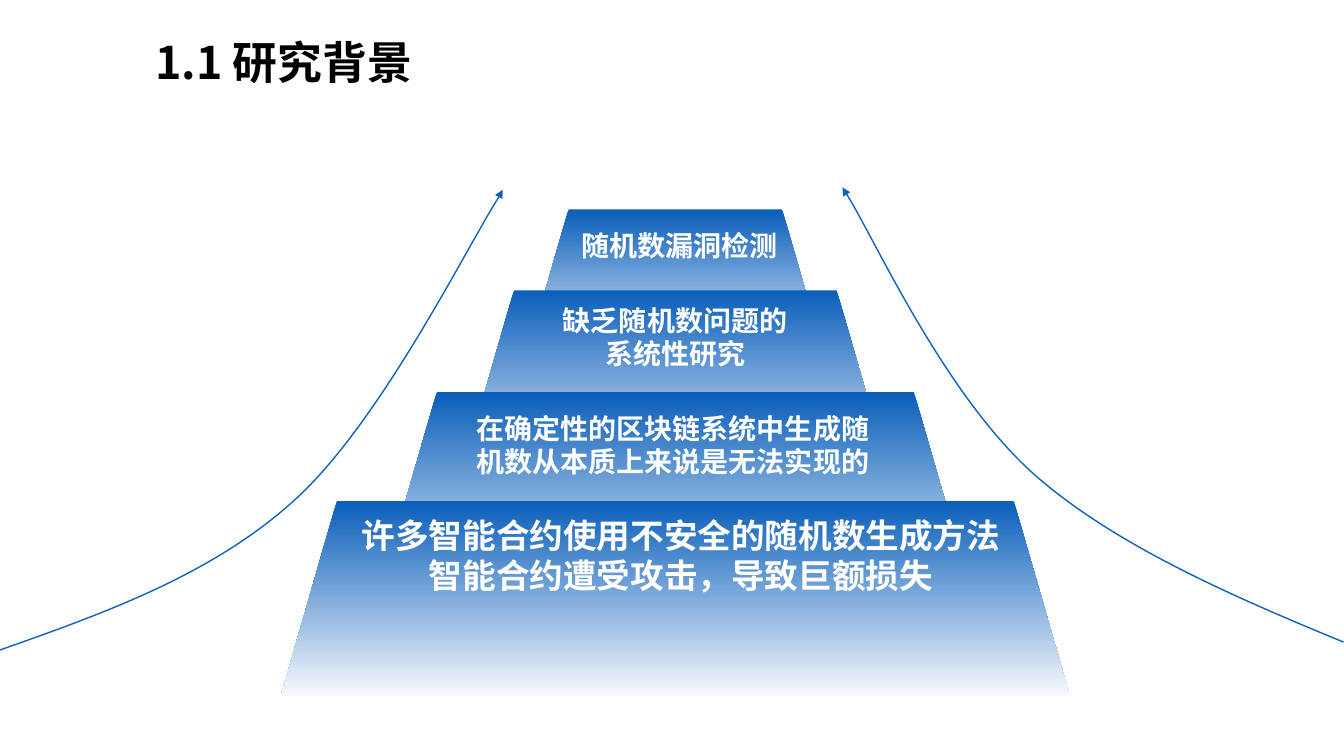
from typing import NamedTuple

from lxml import etree
from pptx import Presentation
from pptx import util as u
from pptx.dml.color import RGBColor
from pptx.enum import shapes, text
from pptx.oxml.ns import qn

FONT = "Noto Sans CJK SC"
BLACK = RGBColor(0x00, 0x00, 0x00)
WHITE = RGBColor(0xFF, 0xFF, 0xFF)
BLUE = RGBColor(0x0A, 0x5E, 0xBA)
PALE = RGBColor(0xF7, 0xFA, 0xFD)
ARROW_BLUE = RGBColor(0x10, 0x62, 0xBC)
PYRAMID_CENTRE = 17.02
SLOPE = 0.288

Point = tuple[float, float]


class Tier(NamedTuple):
    top: float
    width: float
    height: float


class Label(NamedTuple):
    left: float
    top: float
    width: float
    height: float
    lines: list[str]
    size: int = 20
    color: RGBColor = WHITE
    align: text.PP_ALIGN = text.PP_ALIGN.LEFT


class Sweep(NamedTuple):
    """A curve of cubic segments, given as a start and control points, and its arrow tip."""
    points: list[Point]
    tip: Point


TIERS = [
    Tier(5.28, 7.62, 3.89),
    Tier(7.32, 10.97, 4.93),
    Tier(9.88, 15.06, 5.28),
    Tier(12.62, 19.89, 4.93),
]

LABELS = [
    Label(3.66, 0.76, 7.65, 1.63, ["1.1 研究背景"], 32, BLACK),
    Label(14.4, 5.64, 7.37, 1.96, ["随机数漏洞检测"]),
    Label(12.9, 7.52, 8.23, 1.96, ["缺乏随机数问题的", "系统性研究"],
          align=text.PP_ALIGN.CENTER),
    Label(11.76, 10.24, 10.62, 1.96,
          ["在确定性的区块链系统中生成随机数从本质上来说是无法实现的"]),
    Label(8.84, 12.85, 16.64, 2.31,
          ["许多智能合约使用不安全的随机数生成方法", "智能合约遭受攻击，导致巨额损失"],
          24, align=text.PP_ALIGN.CENTER),
]

SWEEPS = [
    Sweep([(0, 16.38), (2.67, 15.44), (5.33, 14.48), (7.37, 12.65),
           (9.53, 10.74), (11.73, 6.3), (12.52, 5.05)], (12.67, 4.78)),
    Sweep([(33.86, 16.18), (30.96, 14.99), (28.14, 13.74), (26.16, 12.04),
           (23.88, 10.08), (22.1, 6.15), (21.39, 4.98)], (21.23, 4.72)),
]


def add_tier(page, tier: Tier) -> None:
    shape = page.shapes.add_shape(
        shapes.MSO_SHAPE.TRAPEZOID, u.Cm(PYRAMID_CENTRE - tier.width / 2),
        u.Cm(tier.top), u.Cm(tier.width), u.Cm(tier.height))
    shape.adjustments[0] = SLOPE
    shape.shadow.inherit = False
    shape.line.fill.background()
    shape.fill.gradient()
    shape.fill.gradient_angle = 270
    for stop, color in zip(shape.fill.gradient_stops, (BLUE, PALE)):
        stop.color.rgb = color


def add_label(page, label: Label) -> None:
    box = page.shapes.add_textbox(
        *map(u.Cm, (label.left, label.top, label.width, label.height)))
    box.text_frame.word_wrap = True
    box.text_frame.text = "\n".join(label.lines)
    font_format = {"name": FONT, "size": u.Pt(label.size), "bold": True}
    for para in box.text_frame.paragraphs:
        para.alignment = label.align
        for span in para.runs:
            for name, value in font_format.items():
                setattr(span.font, name, value)
            span.font.color.rgb = label.color
            east_asian = etree.SubElement(span.font._element, qn("a:ea"))
            east_asian.set("typeface", FONT)


def bend_segments(curve) -> None:
    """Turn each three straight segments into one cubic segment."""
    straight = list(curve._element.iter(qn("a:lnTo")))
    for start in range(0, len(straight), 3):
        group = straight[start:start + 3]
        cubic = etree.Element(qn("a:cubicBezTo"))
        group[0].addprevious(cubic)
        for segment in group:
            cubic.append(segment[0])
            segment.getparent().remove(segment)


def add_sweep(page, sweep: Sweep) -> None:
    start, *controls = [(u.Cm(x), u.Cm(y)) for x, y in sweep.points]
    builder = page.shapes.build_freeform(*start)
    builder.add_line_segments(controls, close=False)
    curve = builder.convert_to_shape()
    bend_segments(curve)
    curve.shadow.inherit = False
    curve.fill.background()

    arrow = page.shapes.add_connector(
        shapes.MSO_CONNECTOR.STRAIGHT, *controls[-1], *map(u.Cm, sweep.tip))
    for outline in (curve.line, arrow.line):
        outline.color.rgb = ARROW_BLUE
        outline.width = u.Pt(1)
    properties = arrow._element.spPr
    etree.SubElement(properties.find(qn("a:ln")), qn("a:tailEnd")).set("type", "triangle")
    etree.SubElement(properties, qn("a:effectLst"))


def main() -> None:
    deck = Presentation()
    deck.slide_width, deck.slide_height = u.Cm(33.87), u.Cm(19.05)
    page = deck.slides.add_slide(deck.slide_layouts[6])
    for tier in TIERS:
        add_tier(page, tier)
    for sweep in SWEEPS:
        add_sweep(page, sweep)
    for label in LABELS:
        add_label(page, label)
    deck.save("out.pptx")


if __name__ == "__main__":
    main()
